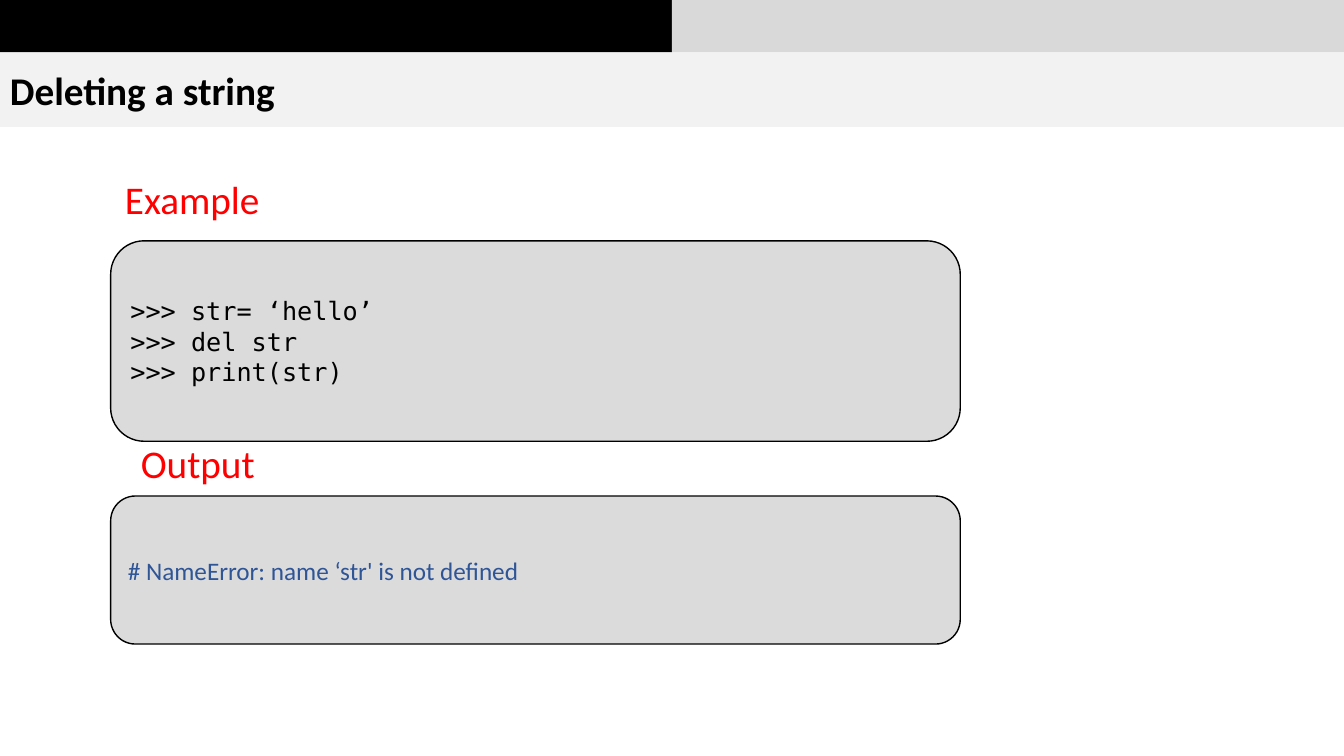
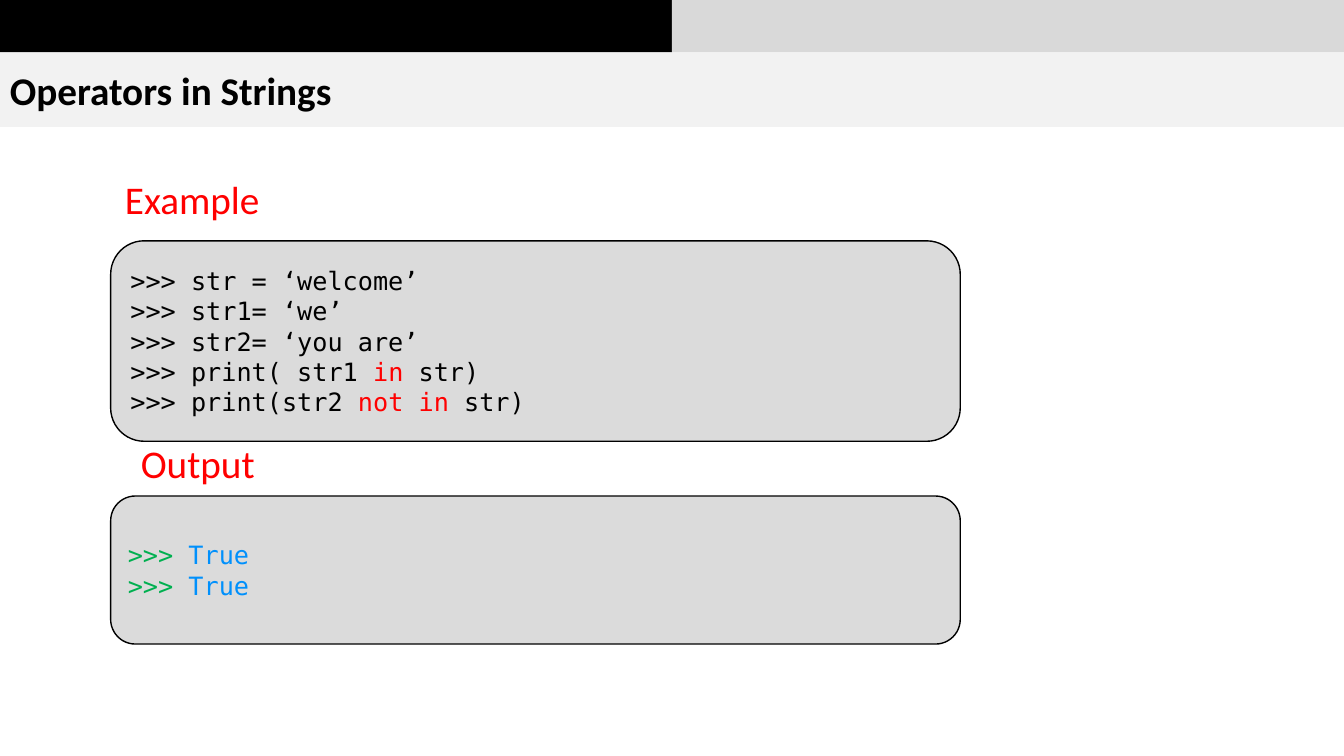
from pptx import Presentation
from pptx.dml.color import RGBColor
from pptx.enum import shapes, text
from pptx.util import Cm, Pt

COLOURS = {
    "black": "000000",
    "band": "D9D9D9",
    "title_band": "F2F2F2",
    "panel": "DBDBDB",
    "red": "FF0000",
    "navy": "2F5597",
    "green": "00B050",
    "blue": "0090FC",
}
BODY_FONT = "Calibri"
CODE_FONT = "DejaVu Sans Mono"

TRUE_LINE = [(">>> ", "green"), ("True", "blue")]
SLIDES = [
    {
        "title": "Deleting a string",
        "example": [
            [(">>> str= ‘hello’", "black")],
            [(">>> del str", "black")],
            [(">>> print(str)", "black")],
        ],
        "output": [[("# NameError: name ‘str' is not defined", "navy")]],
        "output_font": BODY_FONT,
    },
    {
        "title": "Operators in Strings",
        "example": [
            [(">>> str = ‘welcome’", "black")],
            [(">>> str1= ‘we’", "black")],
            [(">>> str2= ‘you are’", "black")],
            [(">>> print( str1 ", "black"), ("in", "red"), (" str)", "black")],
            [(">>> print(str2 ", "black"), ("not in ", "red"), ("str)", "black")],
        ],
        "output": [TRUE_LINE, TRUE_LINE],
        "output_font": CODE_FONT,
    },
]

SLIDE_WIDTH, SLIDE_HEIGHT = Cm(33.87), Cm(19.05)
HALF_WIDTH = SLIDE_WIDTH // 2
BAND_HEIGHT, TITLE_HEIGHT = Cm(1.32), Cm(1.88)
PANEL_LEFT, PANEL_WIDTH = Cm(2.79), Cm(21.41)
EXAMPLE_PANEL = (PANEL_LEFT, Cm(6.07), PANEL_WIDTH, Cm(5.05))
OUTPUT_PANEL = (PANEL_LEFT, Cm(12.5), PANEL_WIDTH, Cm(3.73))
EXAMPLE_LABEL = (Cm(2.9), Cm(4.29), Cm(4.17), Cm(1.45))
OUTPUT_LABEL = (Cm(3.3), Cm(10.95), Cm(3.4), Cm(1.45))


def rgb(name):
    return RGBColor.from_string(COLOURS[name])


def write(shape, lines, font, size, bold=False):
    frame = shape.text_frame
    frame.word_wrap = True
    for index, line in enumerate(lines):
        paragraph = frame.add_paragraph() if index else frame.paragraphs[0]
        paragraph.alignment = text.PP_ALIGN.LEFT
        paragraph.font.name = font
        paragraph.font.size = Pt(size)
        paragraph.font.bold = bold
        for words, colour in line:
            run = paragraph.add_run()
            run.text = words
            run.font.color.rgb = rgb(colour)


def add_box(slide, kind, box, fill, outline=None):
    shape = slide.shapes.add_shape(kind, *box)
    shape.shadow.inherit = False
    shape.fill.solid()
    shape.fill.fore_color.rgb = rgb(fill)
    if outline:
        shape.line.color.rgb = rgb(outline)
        shape.line.width = Pt(1)
    else:
        shape.line.fill.background()
    return shape


def add_header(slide, title):
    rectangle = shapes.MSO_SHAPE.RECTANGLE
    add_box(slide, rectangle, (0, 0, HALF_WIDTH, BAND_HEIGHT), "black")
    add_box(slide, rectangle, (HALF_WIDTH, 0, HALF_WIDTH, BAND_HEIGHT), "band")
    title_box = (0, BAND_HEIGHT, SLIDE_WIDTH, TITLE_HEIGHT)
    title_band = add_box(slide, rectangle, title_box, "title_band")
    write(title_band, [[(title, "black")]], BODY_FONT, 28, bold=True)


def add_section(slide, label, label_box, panel_box, lines, font):
    rounded = shapes.MSO_SHAPE.ROUNDED_RECTANGLE
    panel = add_box(slide, rounded, panel_box, "panel", "black")
    write(panel, lines, font, 18)
    heading = slide.shapes.add_textbox(*label_box)
    write(heading, [[(label, "red")]], BODY_FONT, 28)


def main():
    presentation = Presentation()
    presentation.slide_width = SLIDE_WIDTH
    presentation.slide_height = SLIDE_HEIGHT
    for content in SLIDES:
        slide = presentation.slides.add_slide(presentation.slide_layouts[6])
        add_header(slide, content["title"])
        add_section(slide, "Example", EXAMPLE_LABEL, EXAMPLE_PANEL,
                    content["example"], CODE_FONT)
        add_section(slide, "Output", OUTPUT_LABEL, OUTPUT_PANEL,
                    content["output"], content["output_font"])
    presentation.save("out.pptx")


if __name__ == "__main__":
    main()
